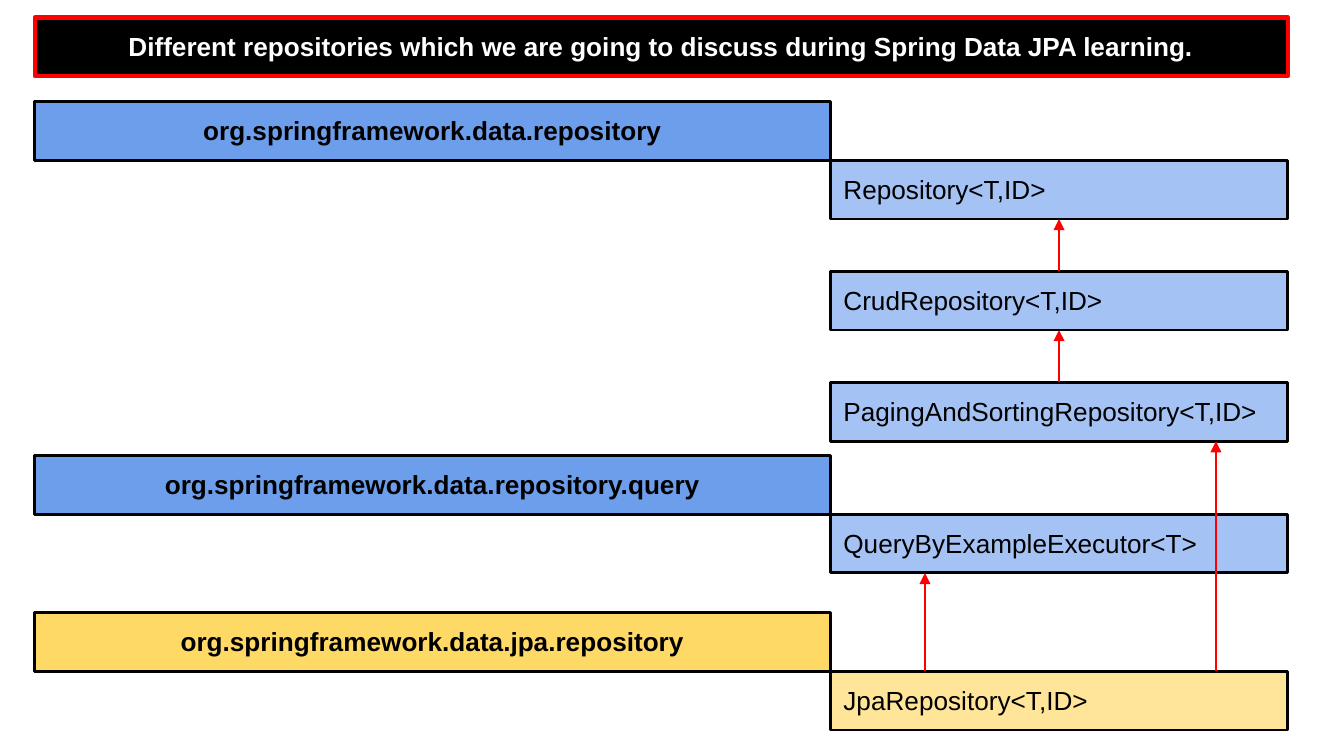
from lxml import etree
from pptx import Presentation
from pptx.dml.color import RGBColor
from pptx.enum.shapes import MSO_CONNECTOR, MSO_SHAPE
from pptx.enum.text import MSO_ANCHOR, MSO_AUTO_SIZE, PP_ALIGN
from pptx.oxml.ns import qn
from pptx.util import Cm, Pt

RECT = MSO_SHAPE.RECTANGLE
STRAIGHT = MSO_CONNECTOR.STRAIGHT
TOP = MSO_ANCHOR.TOP
NO_AUTOFIT = MSO_AUTO_SIZE.NONE
LEFT, CENTER = PP_ALIGN.LEFT, PP_ALIGN.CENTER

# Layout in centimetres
MARGIN = 0.66
PACKAGE_W, CLASS_W = 15.03, 8.65
BAR_H = 1.11
CLASS_STEP = 2.1
INSET = 0.25

BLACK, WHITE, RED = "000000", "FFFFFF", "FF0000"
BLUES = ("6D9EEB", "A4C2F4")
YELLOWS = ("FFD966", "FFE599")

# Top, package name, its interfaces, package and interface fills
PACKAGES = [
    (1.92, "org.springframework.data.repository",
     ["Repository<T,ID>", "CrudRepository<T,ID>",
      "PagingAndSortingRepository<T,ID>"], BLUES),
    (8.61, "org.springframework.data.repository.query",
     ["QueryByExampleExecutor<T>"], BLUES),
    (11.58, "org.springframework.data.jpa.repository",
     ["JpaRepository<T,ID>"], YELLOWS),
]


def rgb(value):
    return RGBColor.from_string(value)


def format_bar(s, text, fill, line=BLACK, width=1.5, color=BLACK,
               bold=False, align=LEFT):
    """Fill, outline and label one bar."""
    s.fill.solid()
    s.fill.fore_color.rgb = rgb(fill)
    s.line.color.rgb = rgb(line)
    s.line.width = Pt(width)
    tf = s.text_frame
    tf.word_wrap = True
    tf.auto_size = NO_AUTOFIT
    tf.vertical_anchor = TOP
    tf.margin_left = tf.margin_right = Cm(INSET)
    tf.margin_top = tf.margin_bottom = Cm(INSET)
    p = tf.paragraphs[0]
    p.alignment = align
    r = p.add_run()
    r.text = text
    r.font.name = "Arial"
    r.font.size = Pt(14)
    r.font.bold = bold
    r.font.color.rgb = rgb(color)


def add_bar(slide, box, text, fill, **style):
    s = slide.shapes.add_shape(RECT, *map(Cm, box))
    s.shadow.inherit = False
    format_bar(s, text, fill, **style)


def place_title(slide, box, text):
    s = slide.shapes.title
    s.left, s.top, s.width, s.height = map(Cm, box)
    format_bar(s, text, BLACK, line=RED, width=2.25, color=WHITE,
               bold=True, align=CENTER)


def add_package(slide, box, name, interfaces, fills):
    """Package bar with its interfaces stepping down on the right; returns their tops."""
    left, top, width, height = box
    add_bar(slide, box, name, fills[0], bold=True, align=CENTER)
    tops = {}
    for i, interface in enumerate(interfaces):
        y = top + height + i * CLASS_STEP
        add_bar(slide, (left + width, y, CLASS_W, height), interface, fills[1])
        tops[interface] = y
    return tops


def add_arrow(slide, x, child_top, parent_top):
    """Red arrow from the child's top edge to the parent's bottom edge."""
    c = slide.shapes.add_connector(
        STRAIGHT, Cm(x), Cm(child_top), Cm(x), Cm(parent_top + BAR_H))
    c.line.color.rgb = rgb(RED)
    c.line.width = Pt(1.5)
    ln = c.line._get_or_add_ln()
    etree.SubElement(ln, qn("a:tailEnd"), type="triangle")
    etree.SubElement(c._element.spPr, qn("a:effectLst"))


def main():
    prs = Presentation()
    prs.slide_width, prs.slide_height = Cm(25.4), Cm(14.29)
    slide = prs.slides.add_slide(prs.slide_layouts[5])

    # Heading
    place_title(slide, (MARGIN, 0.33, PACKAGE_W + CLASS_W, BAR_H),
                "Different repositories which we are going to discuss "
                "during Spring Data JPA learning.")

    # Packages and interfaces
    tops = {}
    for top, name, interfaces, fills in PACKAGES:
        box = (MARGIN, top, PACKAGE_W, BAR_H)
        tops.update(add_package(slide, box, name, interfaces, fills))

    # Inheritance arrows
    repository, crud, paging, query, jpa = tops.values()
    middle = MARGIN + PACKAGE_W + CLASS_W / 2
    for x, child, parent in [(middle, crud, repository),
                             (middle, paging, crud),
                             (17.48, jpa, query),
                             (22.98, jpa, paging)]:
        add_arrow(slide, x, child, parent)

    prs.save("out.pptx")


if __name__ == "__main__":
    main()
